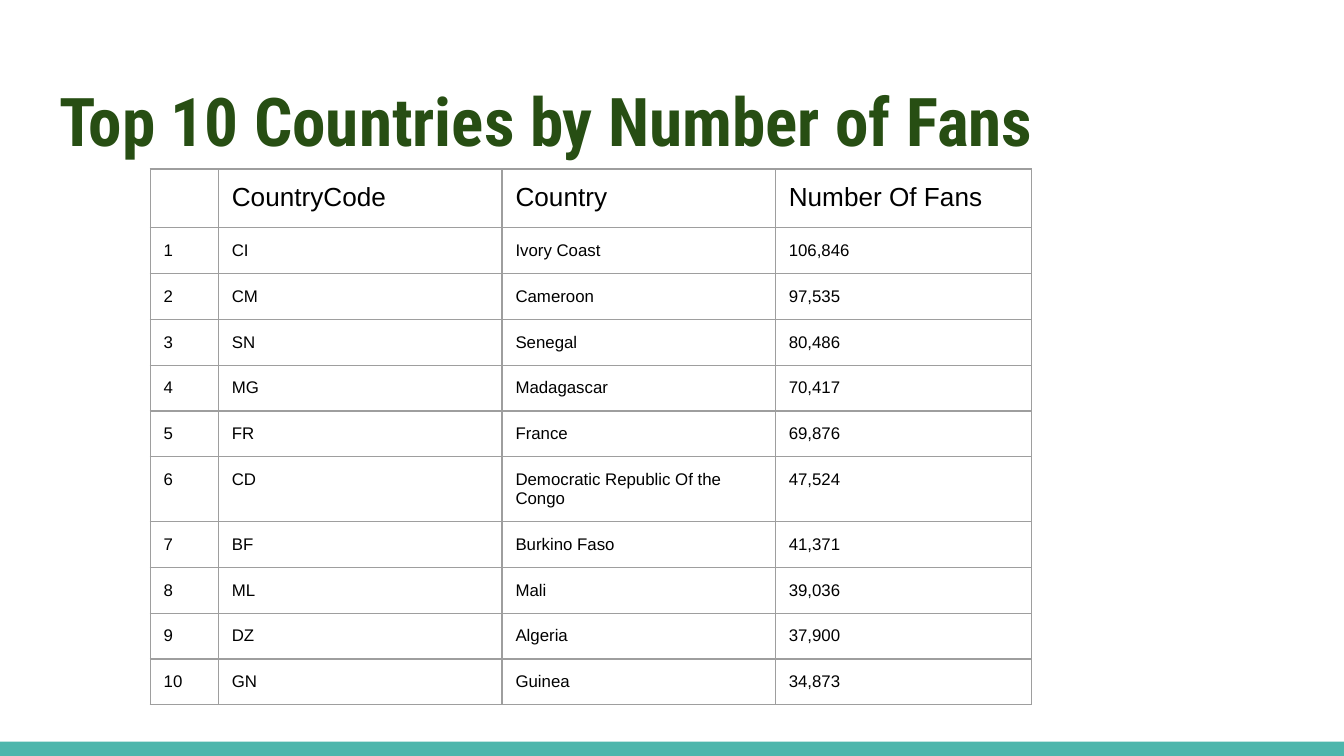
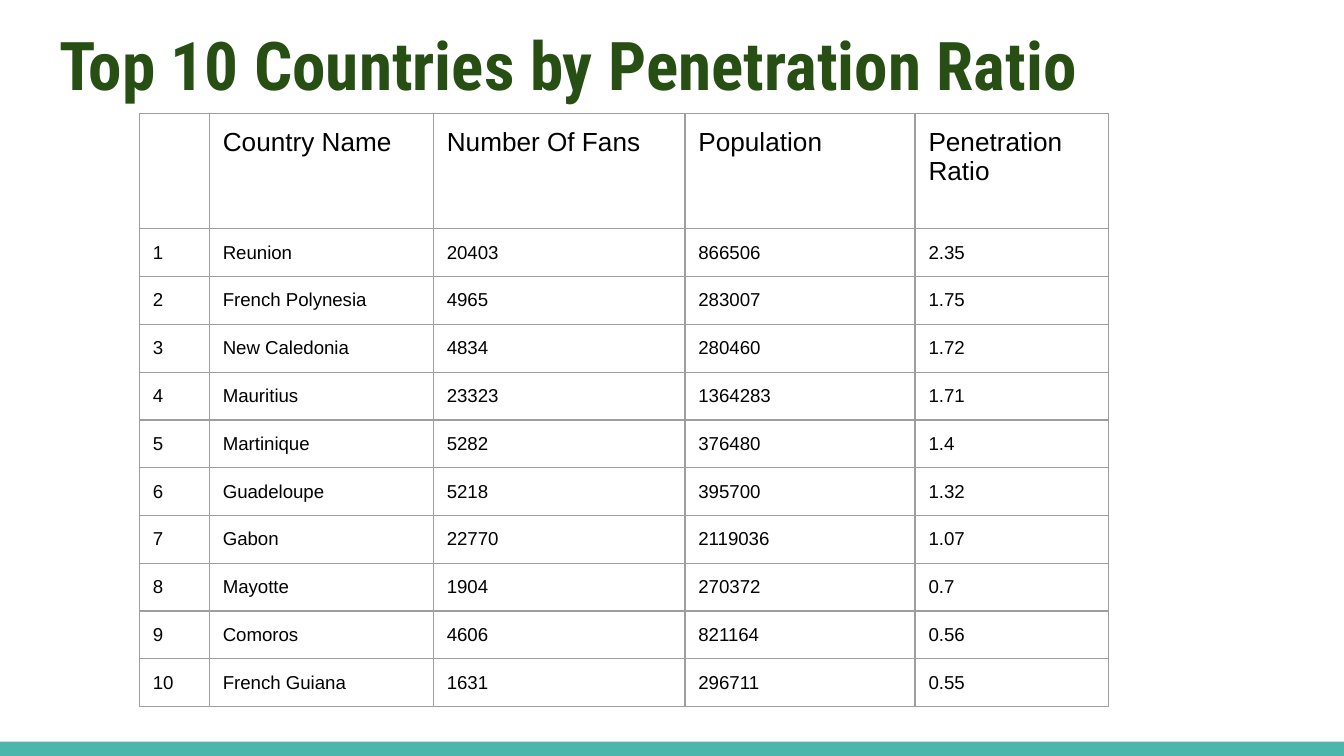
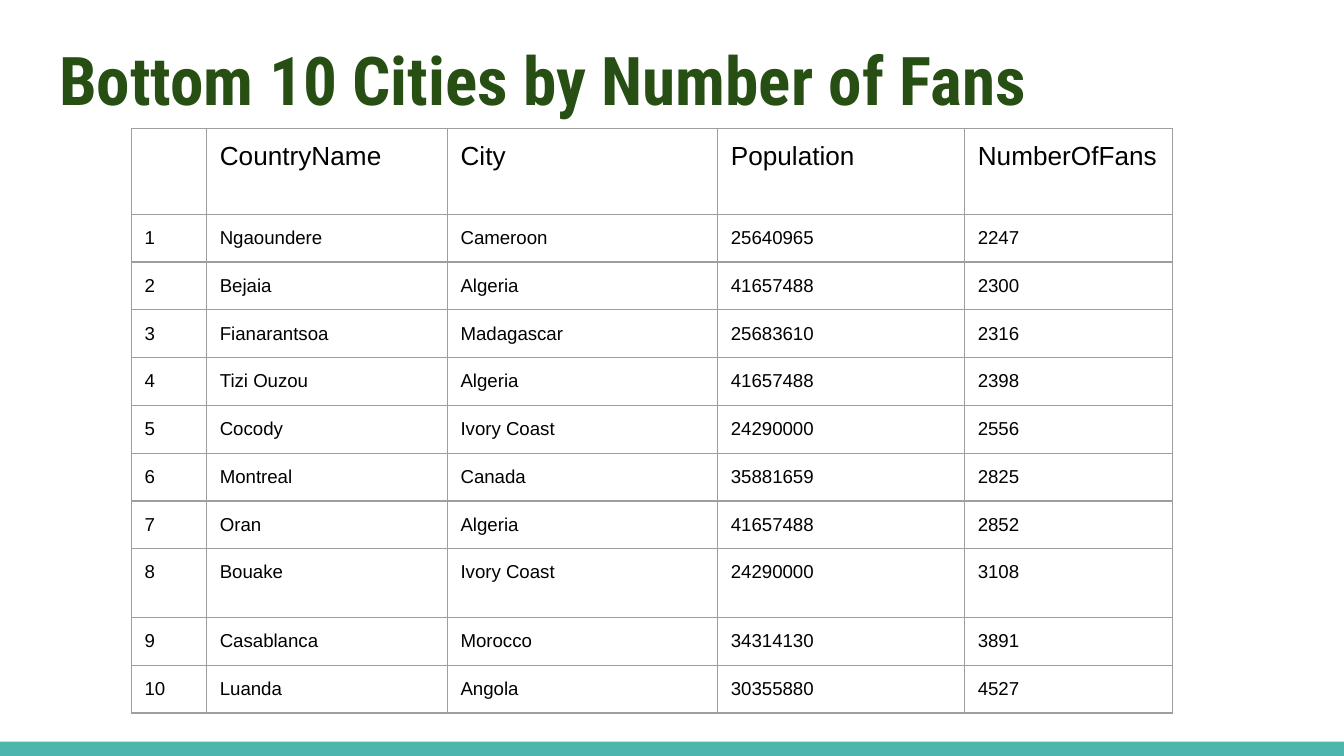
from lxml.etree import SubElement as Sub
from pptx import Presentation
from pptx.dml.color import RGBColor as Rgb
from pptx.enum.shapes import MSO_SHAPE as Shape
from pptx.enum.text import MSO_ANCHOR as Anchor, MSO_AUTO_SIZE as Auto, PP_ALIGN as Align
from pptx.oxml.ns import qn
from pptx.util import Pt

WIDE, HIGH = 720, 405
COLORS = {"band": "4DB6AC", "title": "274E13", "text": "000000", "rule": "9E9E9E"}
TITLE = {"name": "Roboto Condensed", "size": Pt(36), "bold": True}
HEAD = {"name": "Arial", "size": Pt(14), "bold": False}
FRAME = {
    "margin_left": Pt(7.2),
    "margin_right": Pt(7.2),
    "margin_top": Pt(7.2),
    "margin_bottom": Pt(7.2),
    "vertical_anchor": Anchor.TOP,
}

FANS = [
    ("CountryCode", "Country", "Number Of Fans"),
    ("CI", "Ivory Coast", "106,846"),
    ("CM", "Cameroon", "97,535"),
    ("SN", "Senegal", "80,486"),
    ("MG", "Madagascar", "70,417"),
    ("FR", "France", "69,876"),
    ("CD", "Democratic Republic Of the Congo", "47,524"),
    ("BF", "Burkino Faso", "41,371"),
    ("ML", "Mali", "39,036"),
    ("DZ", "Algeria", "37,900"),
    ("GN", "Guinea", "34,873"),
]
RATIOS = [
    ("Country Name", "Number Of Fans", "Population", "Penetration Ratio"),
    ("Reunion", "20403", "866506", "2.35"),
    ("French Polynesia", "4965", "283007", "1.75"),
    ("New Caledonia", "4834", "280460", "1.72"),
    ("Mauritius", "23323", "1364283", "1.71"),
    ("Martinique", "5282", "376480", "1.4"),
    ("Guadeloupe", "5218", "395700", "1.32"),
    ("Gabon", "22770", "2119036", "1.07"),
    ("Mayotte", "1904", "270372", "0.7"),
    ("Comoros", "4606", "821164", "0.56"),
    ("French Guiana", "1631", "296711", "0.55"),
]
CITIES = [
    ("CountryName", "City", "Population", "NumberOfFans"),
    ("Ngaoundere", "Cameroon", "25640965", "2247"),
    ("Bejaia", "Algeria", "41657488", "2300"),
    ("Fianarantsoa", "Madagascar", "25683610", "2316"),
    ("Tizi Ouzou", "Algeria", "41657488", "2398"),
    ("Cocody", "Ivory Coast", "24290000", "2556"),
    ("Montreal", "Canada", "35881659", "2825"),
    ("Oran", "Algeria", "41657488", "2852"),
    ("Bouake", "Ivory Coast", "24290000", "3108"),
    ("Casablanca", "Morocco", "34314130", "3891"),
    ("Luanda", "Angola", "30355880", "4527"),
]

PAGES = [
    {
        "title": "Top 10 Countries by Number of Fans",
        "top": 35.3,
        "grid": {
            "data": FANS, "left": 80.5, "top": 90.6, "size": 9, "row": 24.4,
            "cols": [36.5, 152, 146.4, 137.3], "tall": {0: 30, 6: 34.8},
        },
    },
    {
        "title": "Top 10 Countries by Penetration Ratio",
        "top": 5.2,
        "grid": {
            "data": RATIOS, "left": 74.7, "top": 61, "size": 10, "row": 25.5,
            "cols": [37.5, 120, 134.8, 123.3, 103.7], "tall": {0: 61.6},
        },
    },
    {
        "title": "Bottom 10 Cities by Number of Fans",
        "top": 13.2,
        "grid": {
            "data": CITIES, "left": 70.3, "top": 68.8, "size": 10, "row": 25.5,
            "cols": [40.3, 129, 144.8, 132.3, 111.5], "tall": {0: 46, 8: 36.8},
        },
    },
]


def apply(item, style):
    for key, value in style.items():
        setattr(item, key, value)


def ink(font, style, color):
    apply(font, style)
    font.color.rgb = Rgb.from_string(COLORS[color])


def add_band(slide):
    band = slide.shapes.add_shape(Shape.RECTANGLE, 0, Pt(397.3), Pt(WIDE), Pt(7.7))
    band.shadow.inherit = False
    band.fill.solid()
    band.fill.fore_color.rgb = Rgb.from_string(COLORS["band"])
    band.line.fill.background()


def add_title(slide, text, top):
    title = slide.shapes.title
    apply(title, {"left": Pt(24.5), "top": Pt(top), "width": Pt(671), "height": Pt(55.4)})
    frame = title.text_frame
    apply(frame, FRAME)
    apply(frame, {"auto_size": Auto.NONE, "word_wrap": True})
    para = frame.paragraphs[0]
    para.alignment = Align.LEFT
    run = para.add_run()
    run.text = text
    ink(run.font, TITLE, "title")


def add_rules(cell):
    props = cell._tc.get_or_add_tcPr()
    for side in "LRTB":
        line = Sub(props, qn(f"a:ln{side}"), w=str(Pt(0.75)))
        fill = Sub(line, qn("a:solidFill"))
        Sub(fill, qn("a:srgbClr"), val=COLORS["rule"])


def fill_cell(cell, text, style):
    apply(cell, FRAME)
    add_rules(cell)
    cell.fill.background()
    para = cell.text_frame.paragraphs[0]
    if text:
        run = para.add_run()
        run.text = text
        ink(run.font, style, "text")
    else:
        Sub(para._p, qn("a:endParaRPr"), sz=str(int(style["size"].pt * 100)))


def add_grid(slide, data, left, top, size, row, cols, tall):
    highs = [tall.get(i, row) for i in range(len(data))]
    frame = slide.shapes.add_table(
        len(data), len(cols), Pt(left), Pt(top), Pt(sum(cols)), Pt(sum(highs))
    )
    table = frame.table
    apply(table, {"first_row": False, "horz_banding": False})
    for col, width in zip(table.columns, cols):
        col.width = Pt(width)
    body = {**HEAD, "size": Pt(size)}
    for i, (line, high) in enumerate(zip(data, highs)):
        table.rows[i].height = Pt(high)
        rank = str(i) if i else ""
        for j, text in enumerate((rank, *line)):
            fill_cell(table.cell(i, j), text, body if i else HEAD)


def main():
    deck = Presentation()
    apply(deck, {"slide_width": Pt(WIDE), "slide_height": Pt(HIGH)})
    for page in PAGES:
        slide = deck.slides.add_slide(deck.slide_layouts[5])
        add_band(slide)
        add_title(slide, page["title"], page["top"])
        add_grid(slide, **page["grid"])
    deck.save("out.pptx")


if __name__ == "__main__":
    main()
